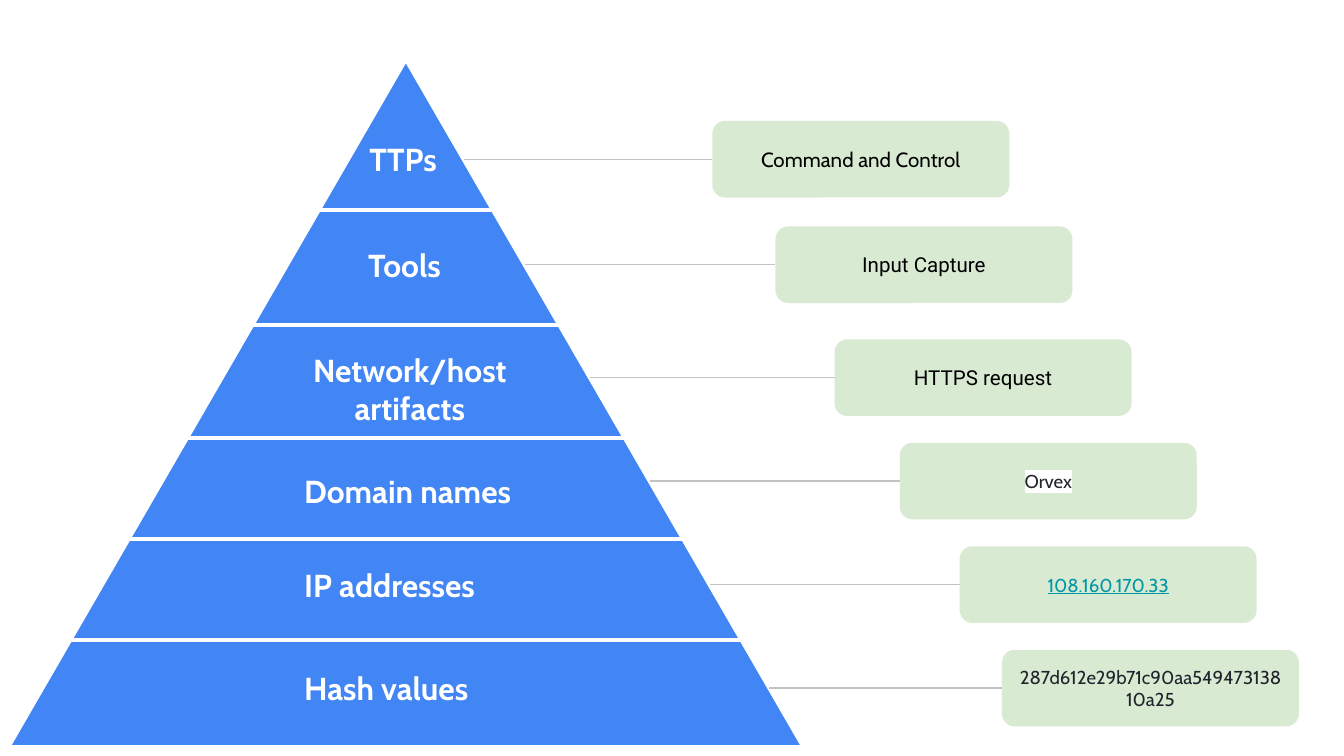
"""Build the pyramid slide with six indicator levels and an example for each."""
from lxml.etree import SubElement
from pptx import Presentation
from pptx.dml.color import RGBColor
from pptx.enum.shapes import MSO_CONNECTOR as Link, MSO_SHAPE as Shape
from pptx.enum.text import MSO_ANCHOR as Anchor, MSO_AUTO_SIZE as Fit, PP_ALIGN as Align
from pptx.oxml.ns import qn
from pptx.util import Emu, Pt

PX = 4572
WHITE = RGBColor(0xFF, 0xFF, 0xFF)
BLACK = RGBColor(0, 0, 0)
BLUE = RGBColor(0x42, 0x85, 0xF4)
GREEN = RGBColor(0xD9, 0xEA, 0xD3)
GREY = RGBColor(0xC2, 0xC2, 0xC2)
INK = RGBColor(0x20, 0x24, 0x2C)
TEAL = RGBColor(0x00, 0x97, 0xA7)

SLIDE_SIZE = (2000, 1125)
PYRAMID = (12, 88, 1184, 1024)
DIVIDERS = (312, 484, 652, 802, 952)
EXAMPLE_SIZE = (442, 114)
INSET = 20

LEVELS = [
    ("TTPs", (530, 188, 176, 98), Align.LEFT),
    ("Tools", (528, 346, 176, 98), Align.LEFT),
    ("Network/host artifacts", (392, 502, 436, 154), Align.CENTER),
    ("Domain names", (433, 682, 448, 98), Align.LEFT),
    ("IP addresses", (433, 822, 448, 98), Align.LEFT),
    ("Hash values", (433, 975, 448, 98), Align.LEFT),
]
EXAMPLES = [
    ("Command and Control", (1060, 180), dict(size=11, face="Cabin", color=BLACK)),
    ("Input Capture", (1154, 337), dict(size=11, face="Roboto", color=BLACK)),
    ("HTTPS request", (1242, 505), dict(size=11, face="Roboto", color=BLACK)),
    ("Orvex", (1339, 659), dict(size=10, face="Cabin", color=INK, highlight=WHITE)),
    ("108.160.170.33", (1428, 813), dict(size=10, face="Cabin", color=TEAL, underline=True)),
    ("287d612e29b71c90aa54947313810a25", (1491, 967), dict(size=10, face="Cabin", color=INK)),
]


def px(*lengths):
    return [Emu(length * PX) for length in lengths]


def pyramid_edges(y):
    left, top, width, height = PYRAMID
    half = (y - top) * width / 2 / height
    return round(left + width / 2 - half), round(left + width / 2 + half)


def add_line(shapes, kind, start, end, y, color, weight):
    line = shapes.add_connector(kind, *px(start, y, end, y))
    line.line.color.rgb = color
    line.line.width = Pt(weight)
    SubElement(line._element.spPr, qn("a:effectLst"))


def write(frame, text, align, size, face, color, bold=None, underline=None, highlight=None):
    frame.word_wrap = True
    frame.margin_left, frame.margin_top, frame.margin_right, frame.margin_bottom = px(*[INSET] * 4)
    paragraph = frame.paragraphs[0]
    paragraph.alignment = align
    run = paragraph.add_run()
    run.text = text
    font = run.font
    font.size, font.bold, font.underline = Pt(size), bold, underline
    font.color.rgb = color
    if highlight is not None:
        marker = SubElement(run._r.get_or_add_rPr(), qn("a:highlight"))
        SubElement(marker, qn("a:srgbClr"), val=str(highlight))
    font.name = face


def add_pyramid(slide):
    group = slide.shapes.add_group_shape().shapes
    triangle = group.add_shape(Shape.ISOSCELES_TRIANGLE, *px(*PYRAMID))
    triangle.shadow.inherit = False
    triangle.fill.solid()
    triangle.fill.fore_color.rgb = BLUE
    triangle.line.color.rgb = WHITE
    triangle.line.width = Pt(2.25)
    for y in DIVIDERS:
        add_line(group, Link.STRAIGHT, *pyramid_edges(y), y, WHITE, 2.25)


def add_level(slide, name, area, align):
    frame = slide.shapes.add_textbox(*px(*area)).text_frame
    write(frame, name, align, 17, "Cabin", WHITE, bold=True)
    frame.auto_size = Fit.SHAPE_TO_FIT_TEXT


def add_example(slide, text, corner, style):
    left, top = corner
    middle = top + EXAMPLE_SIZE[1] // 2
    add_line(slide.shapes, Link.ELBOW, pyramid_edges(middle)[1], left, middle, GREY, 0.75)
    card = slide.shapes.add_shape(Shape.ROUNDED_RECTANGLE, *px(*corner, *EXAMPLE_SIZE))
    card.shadow.inherit = False
    card.fill.solid()
    card.fill.fore_color.rgb = GREEN
    card.line.fill.background()
    card.text_frame.vertical_anchor = Anchor.MIDDLE
    write(card.text_frame, text, Align.CENTER, **style)


def main():
    deck = Presentation()
    deck.slide_width, deck.slide_height = px(*SLIDE_SIZE)
    slide = deck.slides.add_slide(deck.slide_layouts[6])
    add_pyramid(slide)
    for level in LEVELS:
        add_level(slide, *level)
    for example in EXAMPLES:
        add_example(slide, *example)
    deck.save("out.pptx")


if __name__ == "__main__":
    main()
